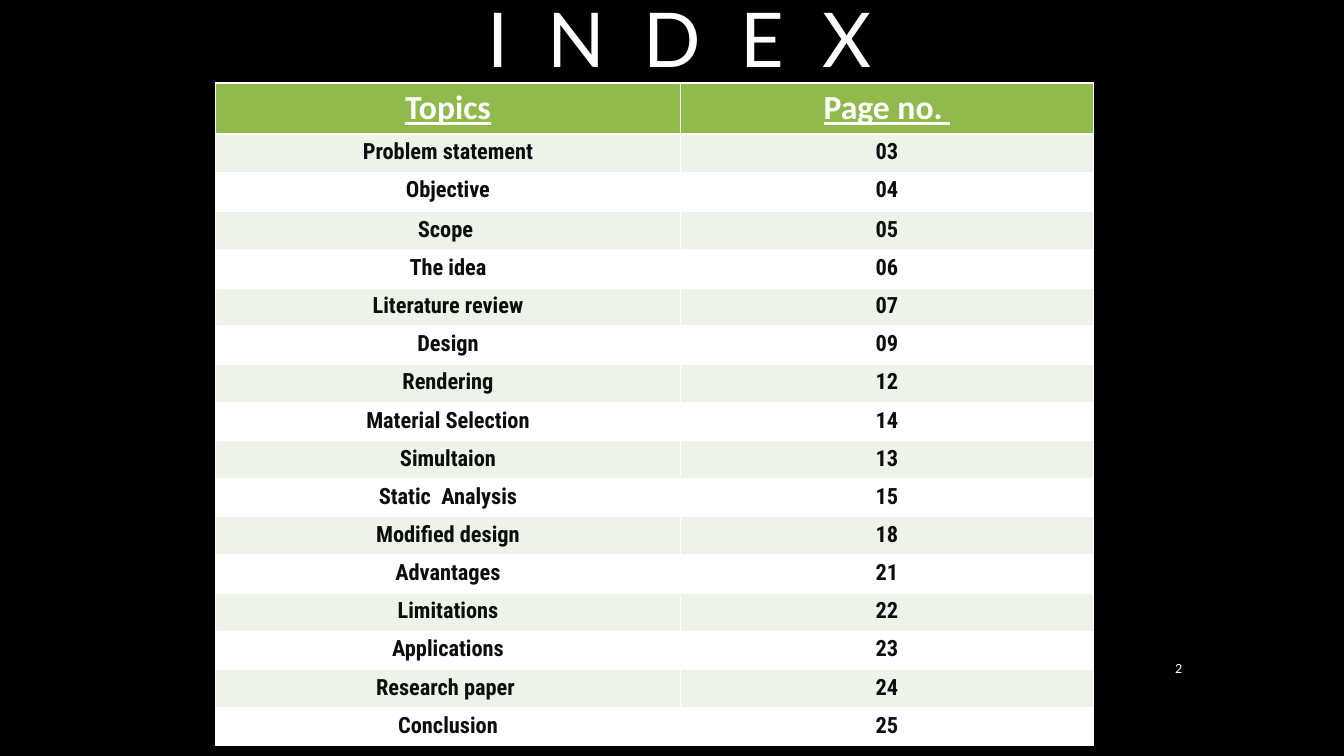
from pptx import Presentation
from pptx.dml.color import RGBColor
from pptx.enum import text
from pptx.util import Pt

COLORS = {
    "background": "000000",
    "light": "FFFFFF",
    "dark": "0D0D0D",
    "header": "90BA4C",
    "band": "EEF3E9",
}
TOPICS = [
    ("Problem statement", "03"),
    ("Objective", "04"),
    ("Scope ", "05"),
    ("The idea", "06"),
    ("Literature review", "07"),
    ("Design", "09"),
    ("Rendering", "12"),
    ("Material Selection", "14"),
    ("Simultaion", "13"),
    ("Static  Analysis", "15"),
    ("Modified design", "18"),
    ("Advantages", "21"),
    ("Limitations", "22"),
    ("Applications", "23"),
    ("Research paper ", "24"),
    ("Conclusion", "25"),
]


def write(frame, words, font="Calibri", size=16, color="light",
          align=text.PP_ALIGN.CENTER, bold=False, underline=False):
    paragraph = frame.paragraphs[0]
    paragraph.alignment = align
    run = paragraph.add_run()
    run.text = words
    run.font.name = font
    run.font.size = Pt(size)
    run.font.bold = bold
    run.font.underline = underline
    run.font.color.rgb = RGBColor.from_string(COLORS[color])


prs = Presentation()
prs.slide_width, prs.slide_height = Pt(960), Pt(540)
slide = prs.slides.add_slide(prs.slide_layouts[6])
slide.background.fill.solid()
slide.background.fill.fore_color.rgb = RGBColor.from_string(COLORS["background"])

# Page number
page_number = slide.shapes.add_textbox(Pt(808.5), Pt(462), Pt(43), Pt(29.5)).text_frame
page_number.word_wrap = True
page_number.vertical_anchor = text.MSO_ANCHOR.MIDDLE
write(page_number, "2", size=10, align=text.PP_ALIGN.RIGHT)

# Index table
index = slide.shapes.add_table(len(TOPICS) + 1, 2, Pt(154), Pt(59.25),
                               Pt(627), Pt(473)).table
index.columns[0].width, index.columns[1].width = Pt(332), Pt(295)
for row, entry in enumerate([("Topics", "Page no. ")] + TOPICS):
    is_header = row == 0
    if is_header:
        fill = "header"
        style = dict(size=24, underline=True)
    else:
        fill = "band" if row % 2 else "light"
        style = dict(font="Roboto Condensed", color="dark")
    index.rows[row].height = Pt(36.5 if is_header else 28.25 if row == 2 else 27.25)
    for column, words in enumerate(entry):
        cell = index.cell(row, column)
        cell.fill.solid()
        cell.fill.fore_color.rgb = RGBColor.from_string(COLORS[fill])
        write(cell.text_frame, words, bold=True, **style)

# Title
title = slide.shapes.add_textbox(Pt(168), Pt(-9.5), Pt(635), Pt(72.5)).text_frame
title.word_wrap = True
write(title, "I  N  D  E  X", font="Lato", size=54)

prs.save("out.pptx")
